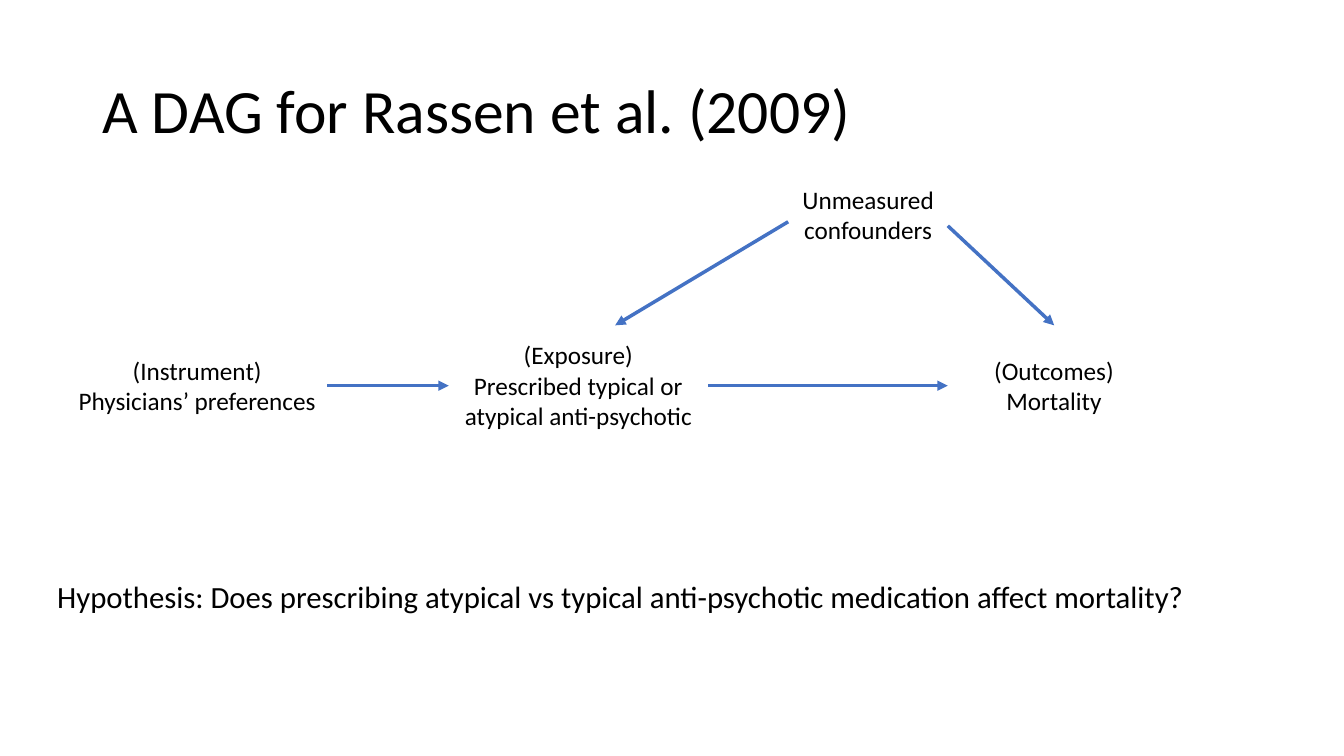
from dataclasses import dataclass

from lxml import etree
from pptx import Presentation
from pptx.dml.color import RGBColor
from pptx.enum.shapes import MSO_CONNECTOR
from pptx.enum.text import MSO_ANCHOR, MSO_AUTO_SIZE, PP_ALIGN
from pptx.oxml.ns import qn
from pptx.util import Pt

STRAIGHT = MSO_CONNECTOR.STRAIGHT
MIDDLE = MSO_ANCHOR.MIDDLE
TOP = MSO_ANCHOR.TOP
LEFT = PP_ALIGN.LEFT
CENTER = PP_ALIGN.CENTER
GROW = MSO_AUTO_SIZE.SHAPE_TO_FIT_TEXT
NO_FIT = MSO_AUTO_SIZE.NONE
TITLE_ONLY = 5


@dataclass(frozen=True)
class Theme:
    font: str = "Calibri"
    ink: RGBColor = RGBColor(0x00, 0x00, 0x00)
    arrow: RGBColor = RGBColor(0x44, 0x72, 0xC4)
    title: float = 44
    node: float = 18
    question: float = 22
    arrow_width: float = 2.5


class Deck:
    """Holds the theme and the current slide; lengths are in points."""

    def __init__(self, theme, width, height):
        self.theme = theme
        self.prs = Presentation()
        self.prs.slide_width, self.prs.slide_height = Pt(width), Pt(height)
        self.s = self.prs.slides.add_slide(self.prs.slide_layouts[TITLE_ONLY])

    def fill_text(self, sp, lines, size, align, frame, spacing=1.0):
        tf = sp.text_frame
        for name, value in {"word_wrap": True, **frame}.items():
            setattr(tf, name, value)
        tf.text = "\n".join(lines)
        font = {"name": self.theme.font, "size": Pt(size)}
        for p in tf.paragraphs:
            p.alignment, p.line_spacing = align, spacing
            for r in p.runs:
                for name, value in font.items():
                    setattr(r.font, name, value)
                r.font.color.rgb = self.theme.ink

    def title(self, text, x, y, w, h):
        sp = self.s.shapes.title
        box = {"left": x, "top": y, "width": w, "height": h}
        for name, value in box.items():
            setattr(sp, name, Pt(value))
        frame = {"vertical_anchor": MIDDLE, "auto_size": NO_FIT}
        self.fill_text(sp, [text], self.theme.title, LEFT, frame, 0.9)

    def text(self, lines, x, y, w, h, size, align=LEFT):
        sp = self.s.shapes.add_textbox(Pt(x), Pt(y), Pt(w), Pt(h))
        frame = {"vertical_anchor": TOP, "auto_size": GROW}
        self.fill_text(sp, lines, size, align, frame)

    def arrow(self, x1, y1, x2, y2):
        sp = self.s.shapes.add_connector(STRAIGHT, Pt(x1), Pt(y1), Pt(x2), Pt(y2))
        sp.line.color.rgb = self.theme.arrow
        sp.line.width = Pt(self.theme.arrow_width)
        ln = sp._element.spPr.find(qn("a:ln"))
        etree.SubElement(ln, qn("a:tailEnd"), type="triangle")
        etree.SubElement(sp._element.spPr, qn("a:effectLst"))


def main():
    theme = Theme()
    deck = Deck(theme, 960, 540)
    deck.title("A DAG for Rassen et al. (2009)", 66, 28.75, 828, 104.4)

    # Graph nodes: left, centre line, height, lines
    row_y = 275.5
    node_w = 185
    nodes = [
        (48.4, row_y, 51, ["(Instrument)", "Physicians’ preferences"]),
        (320.6, row_y, 72.7, ["(Exposure)", "Prescribed typical or atypical anti-psychotic"]),
        (660.4, row_y, 51, ["(Outcomes)", "Mortality"]),
        (527.6, 153.6, 51, ["Unmeasured confounders"]),
    ]
    for x, mid, h, lines in nodes:
        deck.text(lines, x, mid - h / 2, node_w, h, theme.node, CENTER)

    # Causal arrows
    arrows = [
        (233.8, row_y, 320.6, row_y),
        (506, row_y, 677, row_y),
        (563, 158.4, 439.4, 232.4),
        (677, 161.3, 753, 232.4),
    ]
    for ends in arrows:
        deck.arrow(*ends)

    # Research question
    question = "Hypothesis: Does prescribing atypical vs typical anti-psychotic medication affect mortality?"
    deck.text([question], 33.8, 409, 926, 33.9, theme.question)

    deck.prs.save("out.pptx")


if __name__ == "__main__":
    main()
